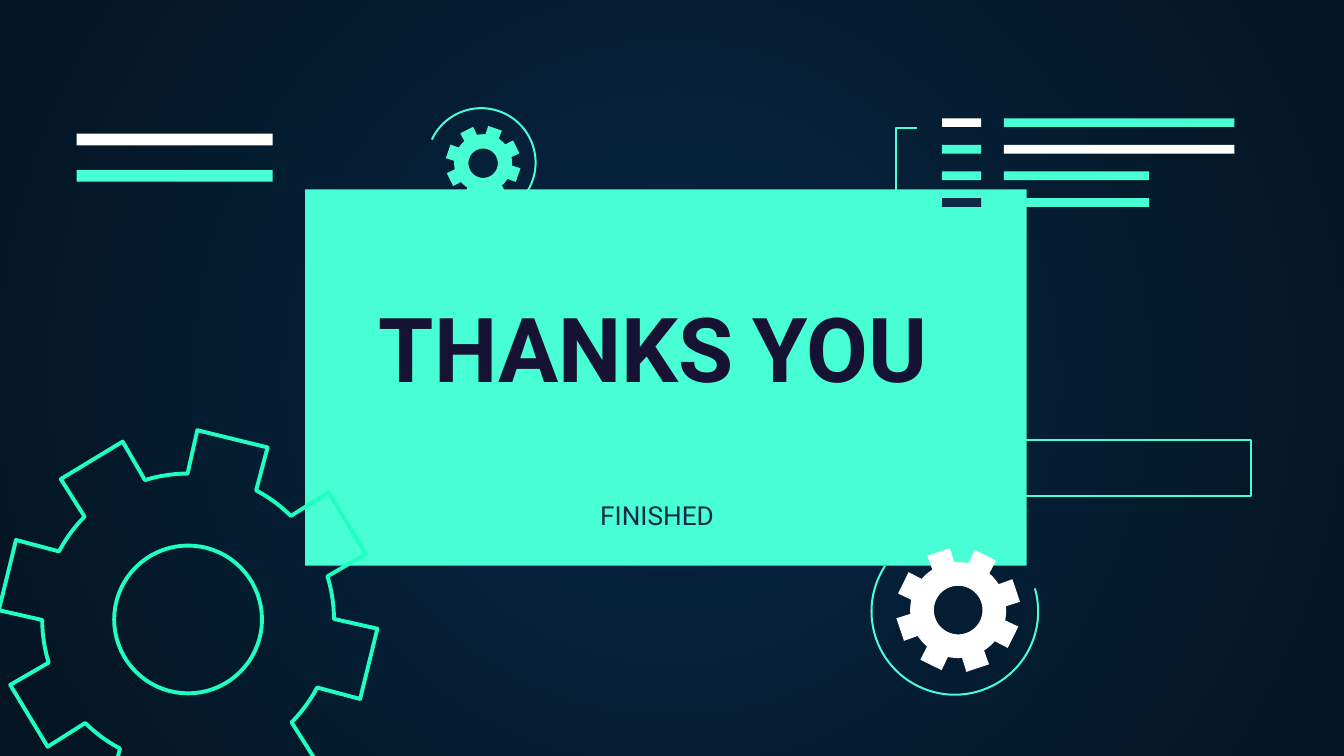
from math import cos, radians, sin

from lxml.etree import SubElement
from pptx import Presentation
from pptx.dml.color import RGBColor
from pptx.enum.shapes import MSO_SHAPE
from pptx.enum.text import MSO_ANCHOR, PP_ALIGN
from pptx.oxml.ns import qn
from pptx.util import Inches, Pt

COLORS = {
    "mint": "48FFD5",
    "green": "1EFFC1",
    "white": "FFFFFF",
    "navy": "0E2A47",
    "ink": "161234",
    "glow": "052643",
    "night": "041523",
}
COLUMNS, ROWS = 100, 56.25
TEETH = 8
TOOTH_STEP = 360 / TEETH


def color(name):
    return RGBColor.from_string(COLORS[name])


def polar(column, row, radius, degrees):
    angle = radians(degrees)
    return column + radius * cos(angle), row + radius * sin(angle)


def add_text(paragraph, text, size=14, fill="navy", bold=False):
    run = paragraph.add_run()
    run.text = text
    run.font.name = "Roboto"
    run.font.size = Pt(size)
    run.font.bold = bold
    run.font.color.rgb = color(fill)


class SlideBuilder:
    """Draws styled elements on a slide, placed by grid columns and rows."""

    def __init__(self, presentation):
        self.slide = presentation.slides.add_slide(presentation.slide_layouts[6])
        self.unit = presentation.slide_width / COLUMNS

    def lengths(self, *cells):
        return [round(cell * self.unit) for cell in cells]

    def background(self, center, edge):
        fill = self.slide.background.fill
        fill.gradient()
        for stop, name, position in zip(fill.gradient_stops, (center, edge), (0, 1)):
            stop.color.rgb = color(name)
            stop.position = position
        linear = self.slide.element.find(".//" + qn("a:lin"))
        gradient = linear.getparent()
        gradient.remove(linear)
        circle = SubElement(gradient, qn("a:path"), {"path": "circle"})
        SubElement(circle, qn("a:fillToRect"), dict.fromkeys("ltrb", "50000"))

    def paint(self, shape, fill=None, line=None, width=1.09):
        shape.shadow.inherit = False
        if fill:
            shape.fill.solid()
            shape.fill.fore_color.rgb = color(fill)
        else:
            shape.fill.background()
        if line:
            shape.line.color.rgb = color(line)
            shape.line.width = Pt(width)
        else:
            shape.line.fill.background()

    def rectangle(self, column, row, width, height, **style):
        box = self.lengths(column, row, width, height)
        self.paint(self.slide.shapes.add_shape(MSO_SHAPE.RECTANGLE, *box), **style)

    def arc(self, column, row, radius, start, end, **style):
        box = self.lengths(column - radius, row - radius, 2 * radius, 2 * radius)
        shape = self.slide.shapes.add_shape(MSO_SHAPE.ARC, *box)
        for index, degrees in enumerate((start, end)):
            shape.adjustments[index] = degrees * 0.6
        self.paint(shape, **style)

    def outline(self, *contours, close=True, **style):
        builder = None
        for contour in contours:
            first, *others = [self.lengths(*point) for point in contour]
            if builder is None:
                builder = self.slide.shapes.build_freeform(*first)
            else:
                builder.move_to(*first)
            builder.add_line_segments(others, close=close)
        self.paint(builder.convert_to_shape(), **style)

    def gear(self, column, row, radius, phase, **style):
        root, hole = radius * 0.77, radius * 0.39
        rim = []
        for tooth in range(TEETH):
            middle = phase + tooth * TOOTH_STEP
            corners = [(root, -14), (radius, -11), (radius, 11), (root, 14)]
            valley = [(root, offset) for offset in range(17, 31, 3)]
            rim += [polar(column, row, reach, middle + offset)
                    for reach, offset in corners + valley]
        bore = [polar(column, row, hole, -degrees) for degrees in range(0, 360, 5)]
        self.outline(rim, bore, **style)

    def text_box(self, column, row, width, height, anchor, runs):
        box = self.lengths(column, row, width, height)
        frame = self.slide.shapes.add_textbox(*box).text_frame
        frame.word_wrap = True
        frame.vertical_anchor = anchor
        frame.margin_left = frame.margin_right = Inches(0.1)
        frame.margin_top = frame.margin_bottom = Inches(0.1)
        paragraph = frame.paragraphs[0]
        paragraph.alignment = PP_ALIGN.CENTER
        for text, style in runs:
            add_text(paragraph, text, **style)


def main():
    presentation = Presentation()
    presentation.slide_width = Inches(10)
    presentation.slide_height = round(presentation.slide_width * ROWS / COLUMNS)
    builder = SlideBuilder(presentation)
    builder.background("glow", "night")
    builder.rectangle(22.7, 14.1, 53.7, 28, fill="mint")

    builder.arc(35.8, 12.1, 4.05, 205, 97, line="mint")
    builder.arc(71.05, 45.5, 6.2, 344, 213, line="mint")
    builder.gear(14, 46.1, 14.1, 13.8, line="green", width=2.1)
    builder.gear(71.3, 45.4, 4.64, 26.4, fill="white")
    builder.gear(35.95, 12.15, 2.8, 18.7, fill="mint")

    code_lines = [("white", "mint", 17.15), ("mint", "white", 17.15),
                  ("mint", "mint", 10.8), ("navy", "mint", 10.8)]
    for index, (label, bar, width) in enumerate(code_lines):
        row = 8.8 + index * 1.98
        builder.rectangle(70.1, row, 2.9, 0.65, fill=label)
        builder.rectangle(74.7, row, width, 0.65, fill=bar)
    builder.outline([(68.3, 15.6), (66.7, 15.6), (66.7, 9.5), (68.2, 9.5)],
                    close=False, line="mint")
    for row, fill in ((9.95, "white"), (12.65, "mint")):
        builder.rectangle(5.7, row, 14.6, 0.87, fill=fill)
    builder.rectangle(72, 32.75, 21.1, 4.15, line="mint")

    builder.text_box(29.6, 19.3, 38.6, 21.2, MSO_ANCHOR.BOTTOM, [("FINISHED", {})])
    title = {"size": 48, "fill": "ink", "bold": True}
    builder.text_box(18.9, 20.8, 59.4, 13.8, MSO_ANCHOR.TOP,
                     [("THANKS", title), (" ", {**title, "size": 40}), ("YOU", title)])
    presentation.save("out.pptx")


if __name__ == "__main__":
    main()
